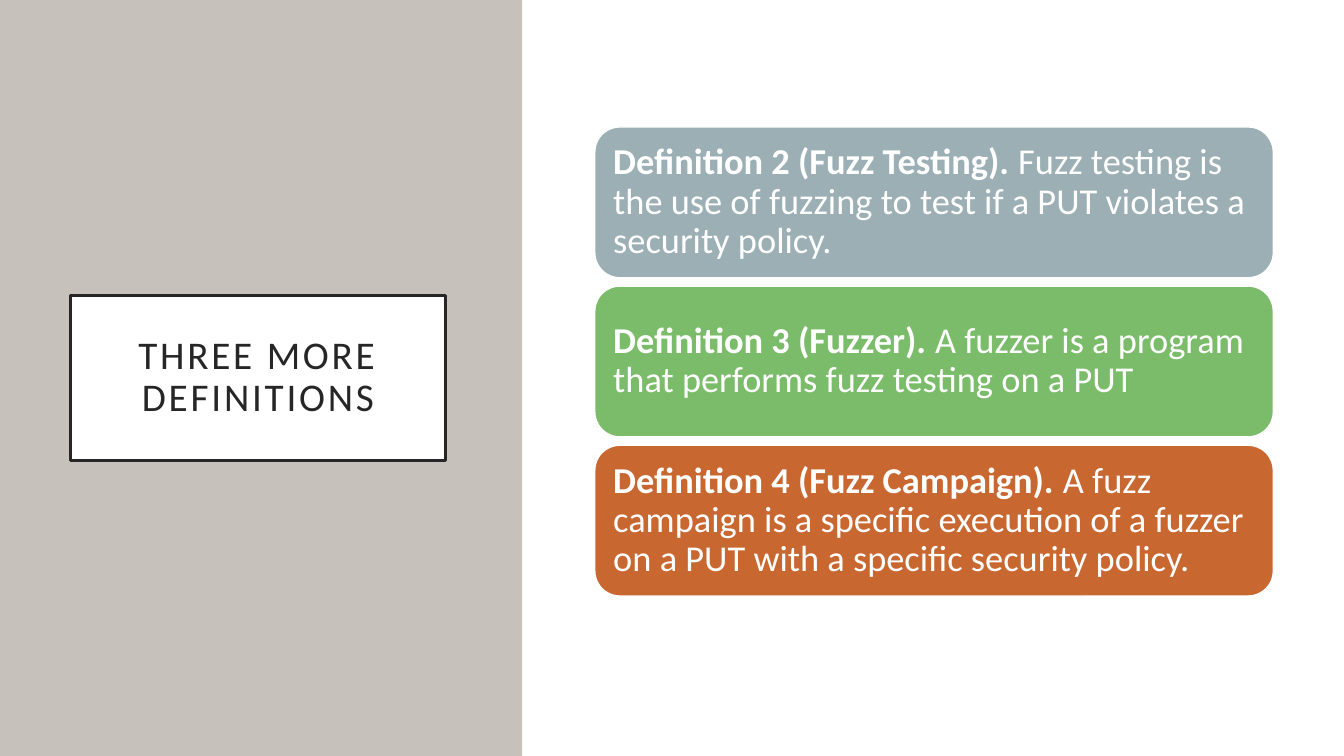
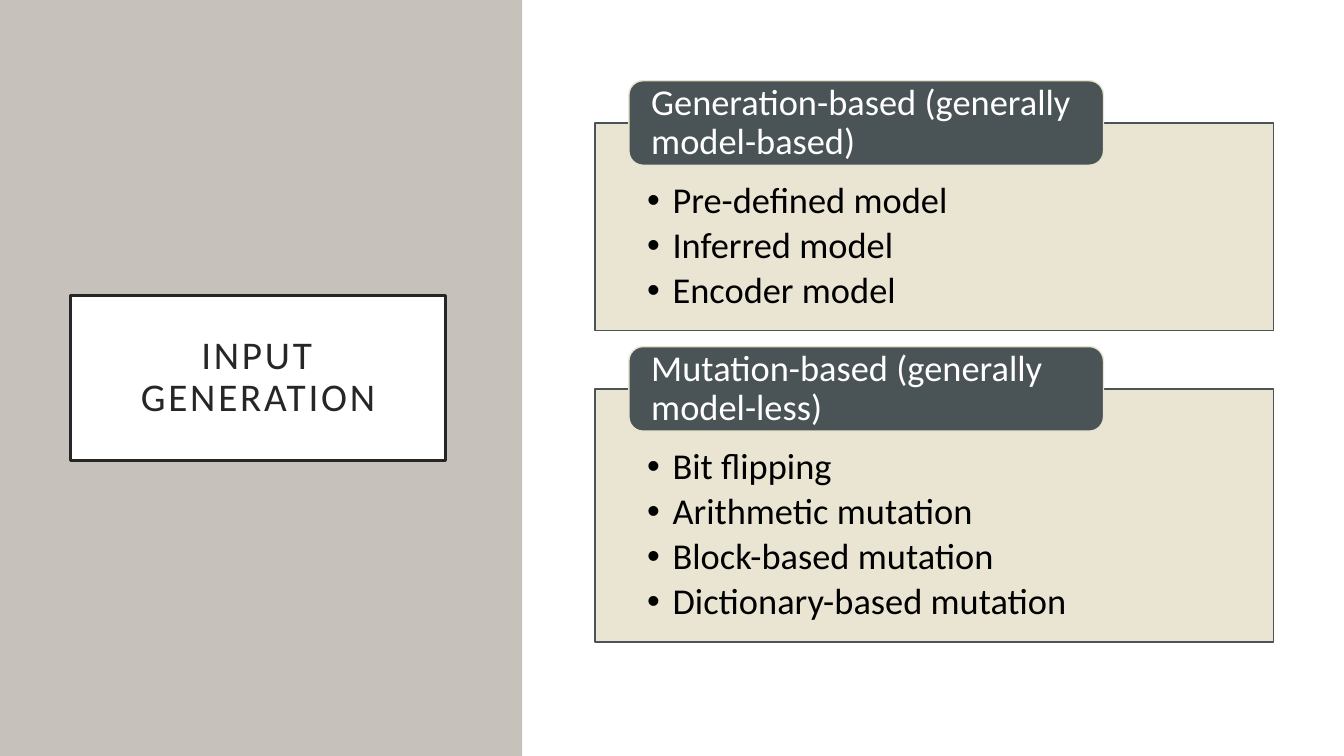
from dataclasses import dataclass

import pptx
import pptx.dml.color
import pptx.enum.shapes
import pptx.enum.text
import pptx.oxml
import pptx.oxml.ns
import pptx.util
from lxml import etree
from pptx.util import Cm, Pt

SHAPES = pptx.enum.shapes.MSO_SHAPE
ANCHOR = pptx.enum.text.MSO_ANCHOR
ALIGN = pptx.enum.text.PP_ALIGN


@dataclass(frozen=True)
class Theme:
    font: str = "Calibri"
    title_size: float = 28
    body_size: float = 26
    white: str = "FFFFFF"
    black: str = "000000"
    ink: str = "262626"
    side: str = "C6C1BA"
    blue: str = "9BAFB5"
    green: str = "7ABC69"
    orange: str = "C96731"
    slate: str = "4A5356"
    sand: str = "E8E3CE"


THEME = Theme()

# Layout in centimetres
SLIDE_WIDTH, SLIDE_HEIGHT = 33.87, 19.05
SIDE_WIDTH = 13.16
TITLE_BOX = (1.78, 7.44, 9.45, 4.17)
CONTENT_LEFT, CONTENT_WIDTH = 14.99, 17.1
CARD_TOP, CARD_HEIGHT, CARD_GAP = 3.2, 3.8, 0.21
PANEL_TOP, PANEL_BASE, PANEL_ROW, PANEL_GAP = 3.1, 1.78, 1.15, 1.47
TAB_LEFT, TAB_WIDTH, TAB_HEIGHT = 15.85, 11.96, 2.13


def rgb(color):
    return pptx.dml.color.RGBColor.from_string(color)


def write(para, text, *, size=THEME.body_size, color=THEME.white, bold=False,
          spacing=0, align=ALIGN.LEFT, after=0):
    """Append one formatted span to a paragraph."""
    para.alignment = align
    para.line_spacing = 0.9
    para.space_before = Pt(0)
    para.space_after = Pt(after)
    span = para.add_run()
    span.text = text
    span.font.name = THEME.font
    span.font.size = Pt(size)
    span.font.bold = bold
    span.font.color.rgb = rgb(color)
    if spacing:
        span.font._element.set("spc", str(spacing * 100))


def add_bullet(para):
    properties = para._p.get_or_add_pPr()
    properties.set("marL", str(Cm(0.64)))
    properties.set("indent", str(-Cm(0.64)))
    for tag, name, value in (("a:buFont", "typeface", "Arial"), ("a:buChar", "char", "•")):
        etree.SubElement(properties, pptx.oxml.ns.qn(tag)).set(name, value)


class Builder:
    """Holds the theme, the deck and the current page."""

    def __init__(self, theme):
        self.theme = theme
        self.deck = pptx.Presentation()
        self.deck.slide_width = Cm(SLIDE_WIDTH)
        self.deck.slide_height = Cm(SLIDE_HEIGHT)
        self.page = None

    def place(self, box, left, top, width, height):
        box.left, box.top = Cm(left), Cm(top)
        box.width, box.height = Cm(width), Cm(height)

    def paint(self, box, fill, line=None, weight=1.0, opacity=100):
        box.fill.solid()
        box.fill.fore_color.rgb = rgb(fill)
        if opacity < 100:
            color = box.fill._xPr.find(".//" + pptx.oxml.ns.qn("a:srgbClr"))
            alpha = etree.SubElement(color, pptx.oxml.ns.qn("a:alpha"))
            alpha.set("val", str(opacity * 1000))
        if line:
            box.line.color.rgb = rgb(line)
            box.line.width = Pt(weight)
        else:
            box.line.fill.background()

    def frame(self, box, insets, anchor=ANCHOR.MIDDLE):
        frame = box.text_frame
        frame.word_wrap = True
        frame.auto_size = pptx.enum.text.MSO_AUTO_SIZE.NONE
        frame.vertical_anchor = anchor
        (frame.margin_left, frame.margin_top,
         frame.margin_right, frame.margin_bottom) = map(Cm, insets)
        return frame

    def shape(self, kind, place, fill, line=None):
        box = self.page.shapes.add_shape(kind, *map(Cm, place))
        box.shadow.inherit = False
        self.paint(box, fill, line)
        return box

    def new_page(self, title, layout):
        """Start a page with the side band and the framed title."""
        self.page = self.deck.slides.add_slide(self.deck.slide_layouts.get_by_name(layout))
        box = self.page.shapes.title
        band = self.shape(SHAPES.RECTANGLE, (0, 0, SIDE_WIDTH, SLIDE_HEIGHT), self.theme.side)
        box.element.addprevious(band.element)
        self.place(box, *TITLE_BOX)
        self.paint(box, self.theme.white, self.theme.ink, weight=2.5)
        frame = self.frame(box, (0.51,) * 4)
        write(frame.paragraphs[0], title, size=self.theme.title_size,
              color=self.theme.ink, spacing=2, align=ALIGN.CENTER)

    def card(self, top, fill, term, meaning):
        box = self.shape(SHAPES.ROUNDED_RECTANGLE,
                         (CONTENT_LEFT, top, CONTENT_WIDTH, CARD_HEIGHT),
                         fill, self.theme.white)
        para = self.frame(box, (0.28,) * 4).paragraphs[0]
        write(para, term + " ", bold=True)
        write(para, meaning)

    def list_panel(self, box, top, height, items):
        self.place(box, CONTENT_LEFT, top, CONTENT_WIDTH, height)
        self.paint(box, self.theme.sand, self.theme.slate, opacity=90)
        frame = self.frame(box, (1.32, 1.5, 1.32, 0.51), ANCHOR.TOP)
        for index, item in enumerate(items):
            para = frame.add_paragraph() if index else frame.paragraphs[0]
            add_bullet(para)
            write(para, item, color=self.theme.black, after=4)

    def tab(self, panel_top, heading):
        """Add a heading centred on the upper edge of a panel."""
        box = self.shape(SHAPES.ROUNDED_RECTANGLE,
                         (TAB_LEFT, panel_top - TAB_HEIGHT / 2, TAB_WIDTH, TAB_HEIGHT),
                         self.theme.slate, self.theme.sand)
        write(self.frame(box, (0.46, 0, 0.46, 0)).paragraphs[0], heading)


def definitions_page(builder):
    builder.new_page("THREE MORE DEFINITIONS", "Title Only")
    cards = (
        (THEME.blue, "Definition 2 (Fuzz Testing).",
         "Fuzz testing is the use of fuzzing to test if a PUT violates a security policy."),
        (THEME.green, "Definition 3 (Fuzzer).",
         "A fuzzer is a program that performs fuzz testing on a PUT"),
        (THEME.orange, "Definition 4 (Fuzz Campaign).",
         "A fuzz campaign is a specific execution of a fuzzer on a PUT "
         "with a specific security policy."),
    )
    for index, (fill, term, meaning) in enumerate(cards):
        builder.card(CARD_TOP + index * (CARD_HEIGHT + CARD_GAP), fill, term, meaning)


def generation_page(builder):
    builder.new_page("INPUT GENERATION", "Two Content")
    groups = (
        ("Generation-based (generally model-based)",
         ("Pre-defined model", "Inferred model", "Encoder model")),
        ("Mutation-based (generally model-less)",
         ("Bit flipping", "Arithmetic mutation", "Block-based mutation",
          "Dictionary-based mutation")),
    )
    top = PANEL_TOP
    for index, (heading, items) in enumerate(groups, start=1):
        height = PANEL_BASE + PANEL_ROW * len(items)
        builder.list_panel(builder.page.placeholders[index], top, height, items)
        builder.tab(top, heading)
        top += height + PANEL_GAP


def main():
    builder = Builder(THEME)
    definitions_page(builder)
    generation_page(builder)
    builder.deck.save("out.pptx")


if __name__ == "__main__":
    main()
